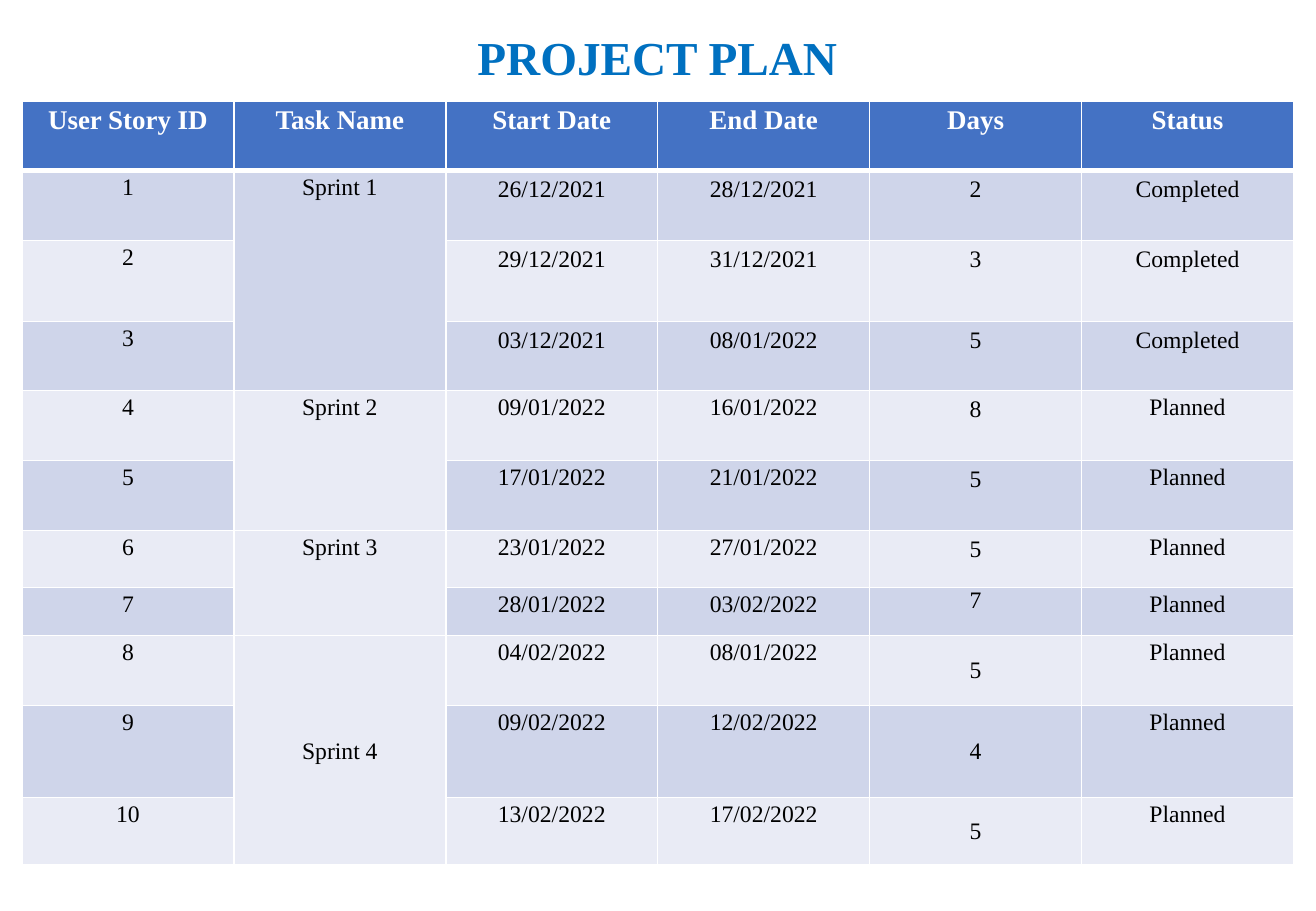
from dataclasses import dataclass

from lxml import etree
from pptx import Presentation
from pptx import util as u
from pptx.dml.color import RGBColor
from pptx.enum import text
from pptx.oxml import ns


@dataclass(frozen=True)
class Theme:
    font: str = "Times New Roman"
    title_size: int = 28
    header_size: int = 16
    body_size: int = 14
    title: str = "0070C0"
    header_fill: str = "4472C4"
    bands: tuple = ("E9EBF5", "CFD5EA")
    white: str = "FFFFFF"
    black: str = "000000"


THEME = Theme()
HEADERS = ["User Story ID", "Task Name", "Start Date", "End Date", "Days", "Status"]
SPRINTS = [
    ("Sprint 1", "Completed", [
        ("26/12/2021", "28/12/2021", "2"),
        ("29/12/2021", "31/12/2021", "3"),
        ("03/12/2021", "08/01/2022", "5"),
    ]),
    ("Sprint 2", "Planned", [
        ("09/01/2022", "16/01/2022", "8"),
        ("17/01/2022", "21/01/2022", "5"),
    ]),
    ("Sprint 3", "Planned", [
        ("23/01/2022", "27/01/2022", "5"),
        ("28/01/2022", "03/02/2022", "7"),
    ]),
    ("Sprint 4", "Planned", [
        ("04/02/2022", "08/01/2022", "5"),
        ("09/02/2022", "12/02/2022", "4"),
        ("13/02/2022", "17/02/2022", "5"),
    ]),
]
ROW_HEIGHTS = [1.45, 1.46, 1.69, 1.45, 1.46, 1.46, 1.2, 1, 1.46, 1.93, 1.4]
COLUMN_WIDTH = 4.43
TASK, DAYS = 1, 4
TIGHT, ROOMY = (0.19, 0), (0.27, 0.13)
TOP, MIDDLE = text.MSO_ANCHOR.TOP, text.MSO_ANCHOR.MIDDLE


def write(p, words, size, color, bold=False, spacing=1.0):
    p.text = words
    p.alignment = text.PP_ALIGN.CENTER
    p.line_spacing = spacing
    p.font.name = THEME.font
    p.font.size = u.Pt(size)
    p.font.bold = bold
    p.font.color.rgb = RGBColor.from_string(color)


def add_title(slide, words):
    s = slide.shapes.add_textbox(u.Cm(1.88), u.Cm(0), u.Cm(23.72), u.Cm(2.51))
    tf = s.text_frame
    tf.word_wrap = True
    tf.vertical_anchor = MIDDLE
    write(tf.paragraphs[0], words, THEME.title_size, THEME.title, True, 0.9)


def add_borders(cell, row):
    tc_pr = cell._tc.get_or_add_tcPr()
    for side in "LRTB":
        thick = (row, side) in ((0, "B"), (1, "T"))
        ln = etree.SubElement(tc_pr, ns.qn(f"a:ln{side}"), w=str(u.Pt(3 if thick else 1)))
        fill = etree.SubElement(ln, ns.qn("a:solidFill"))
        etree.SubElement(fill, ns.qn("a:srgbClr"), val=THEME.white)


def style_cell(cell, row, fill, insets=TIGHT, anchor=TOP):
    add_borders(cell, row)
    cell.fill.solid()
    cell.fill.fore_color.rgb = RGBColor.from_string(fill)
    cell.margin_left = cell.margin_right = u.Cm(insets[0])
    cell.margin_top = cell.margin_bottom = u.Cm(insets[1])
    cell.vertical_anchor = anchor


def fill_header(table):
    for col, words in enumerate(HEADERS):
        cell = table.cell(0, col)
        style_cell(cell, 0, THEME.header_fill)
        write(cell.text_frame.paragraphs[0], words, THEME.header_size, THEME.white, True, 1.15)


def cell_layout(sprint, row, col):
    insets, anchor = TIGHT, TOP
    if (sprint == "Sprint 1" and col > TASK) or (col == DAYS and row < 7):
        insets = ROOMY
    if sprint == "Sprint 4" and col in (TASK, DAYS):
        anchor = MIDDLE
    spacing = 1.0 if insets == ROOMY or col == DAYS else 1.15
    return insets, anchor, spacing


def fill_sprint(table, first, sprint, status, tasks):
    for row, (start, end, days) in enumerate(tasks, first):
        task = sprint if row == first else ""
        for col, words in enumerate((str(row), task, start, end, days, status)):
            insets, anchor, spacing = cell_layout(sprint, row, col)
            cell = table.cell(row, col)
            style_cell(cell, row, THEME.bands[row % 2], insets, anchor)
            if words:
                write(cell.text_frame.paragraphs[0], words, THEME.body_size, THEME.black,
                      spacing=spacing)
    table.cell(first, TASK).merge(table.cell(first + len(tasks) - 1, TASK))


def add_plan(slide):
    s = slide.shapes.add_table(len(ROW_HEIGHTS), len(HEADERS), u.Cm(0.46), u.Cm(2.12),
                               u.Cm(COLUMN_WIDTH * len(HEADERS)), u.Cm(sum(ROW_HEIGHTS)))
    table = s.table
    for column in table.columns:
        column.width = u.Cm(COLUMN_WIDTH)
    for row, height in zip(table.rows, ROW_HEIGHTS):
        row.height = u.Cm(height)
    fill_header(table)
    first = 1
    for sprint, status, tasks in SPRINTS:
        fill_sprint(table, first, sprint, status, tasks)
        first += len(tasks)


def main():
    prs = Presentation()
    prs.slide_width, prs.slide_height = u.Cm(27.51), u.Cm(19.05)
    slide = prs.slides.add_slide(prs.slide_layouts[6])
    add_title(slide, "PROJECT PLAN")
    add_plan(slide)
    prs.save("out.pptx")


if __name__ == "__main__":
    main()
